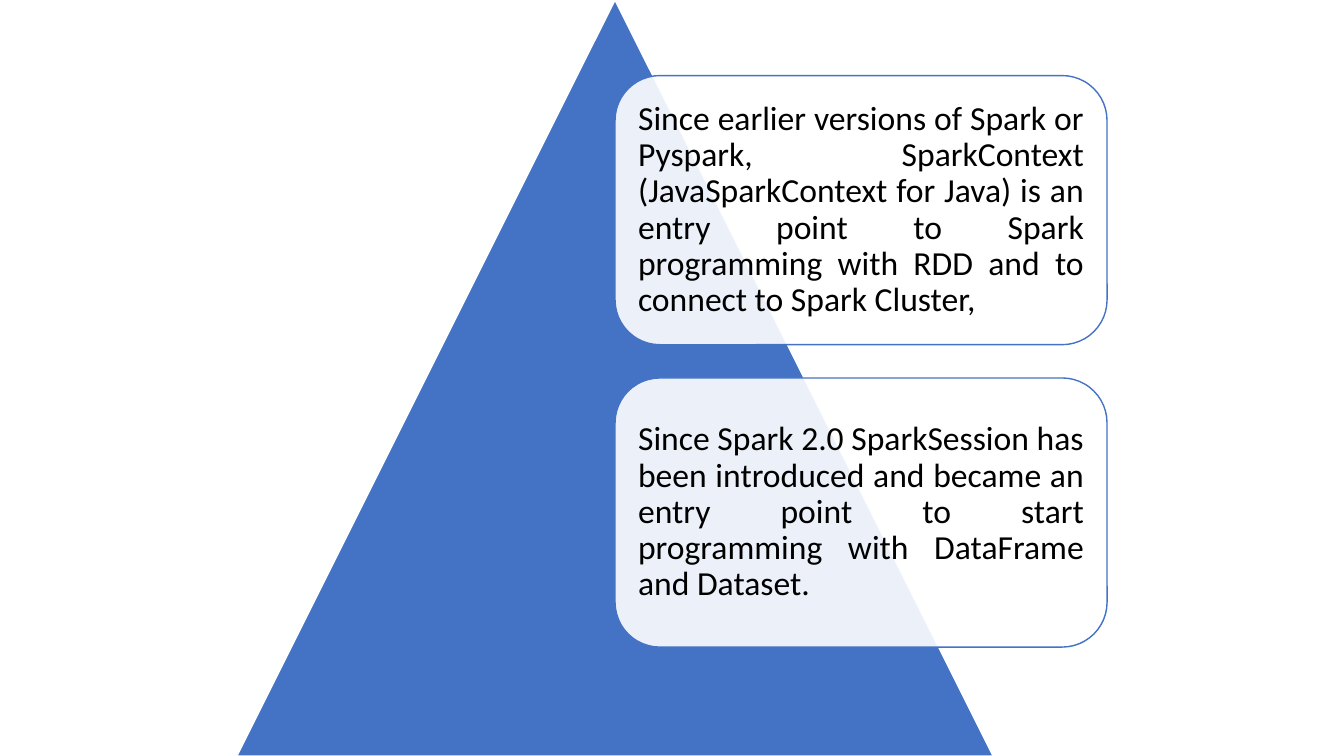
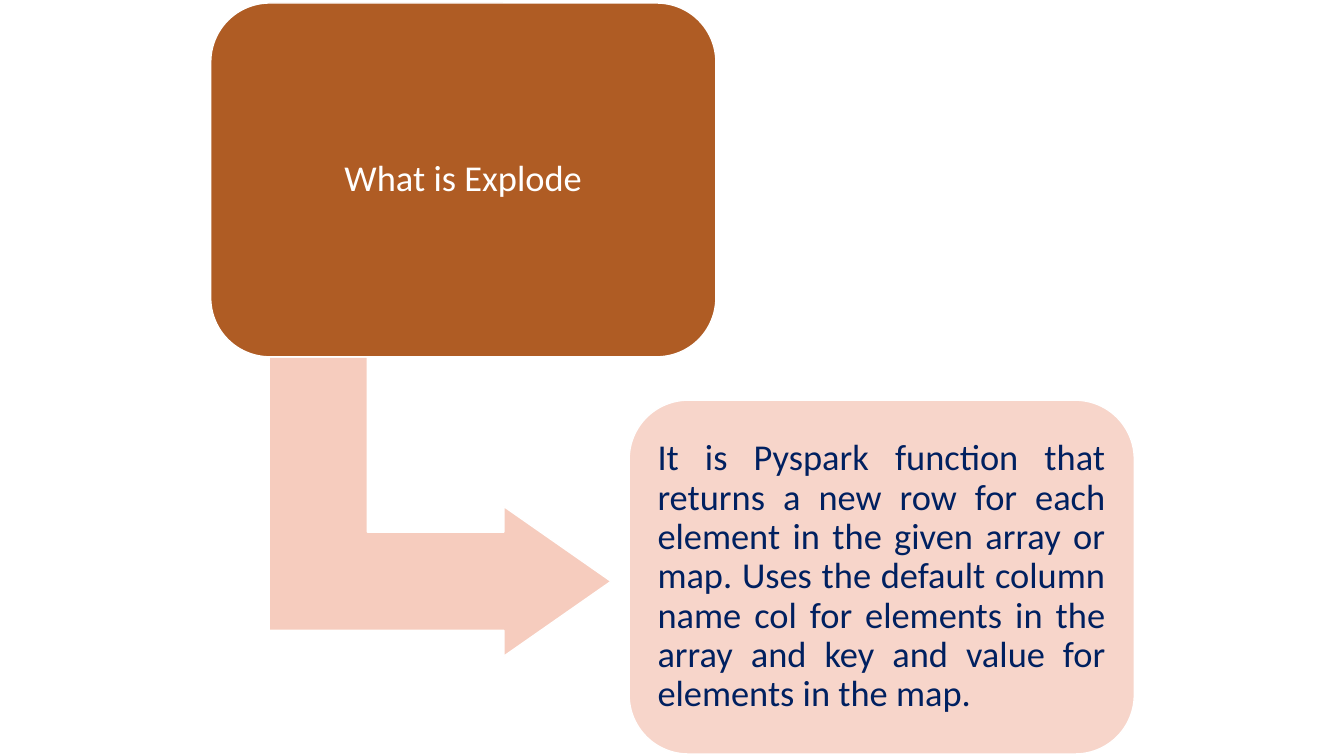
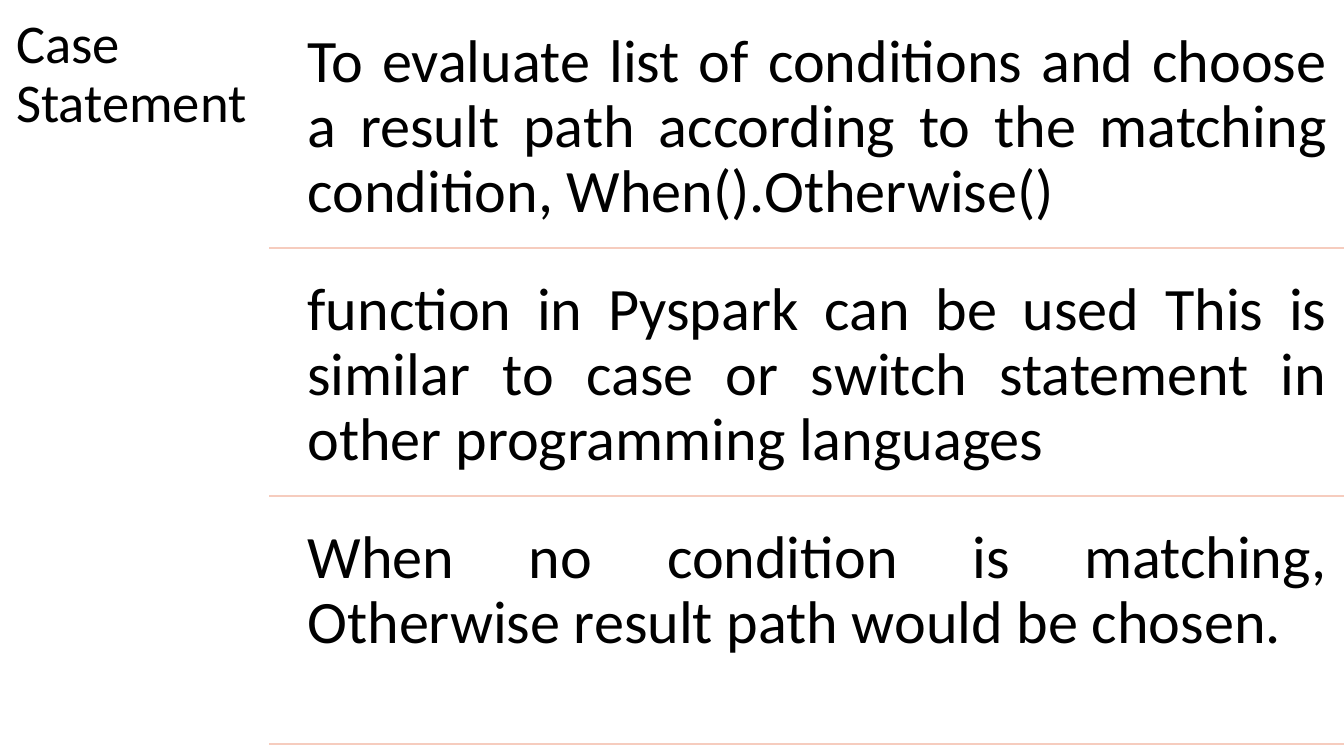
from lxml.etree import SubElement
from pptx import Presentation
from pptx.dml.color import RGBColor
from pptx.enum.shapes import MSO_CONNECTOR, MSO_SHAPE
from pptx.enum.text import MSO_ANCHOR, PP_ALIGN
from pptx.oxml.ns import qn
from pptx.util import Inches, Pt

BLACK, WHITE, NAVY = "000000", "FFFFFF", "002060"
BLUE, RUST, PINK, PALE_PINK = "4472C4", "AF5C24", "F6CCBE", "F7D5CA"


def color(hex_string):
    return RGBColor.from_string(hex_string)


class Deck:
    font = "Calibri"
    line_spacing = 0.9
    line_width = Pt(1)

    def __init__(self, width, height):
        self.prs = Presentation()
        self.prs.slide_width = Inches(width)
        self.prs.slide_height = Inches(height)
        self.slide = None

    def new_slide(self):
        self.slide = self.prs.slides.add_slide(self.prs.slide_layouts[6])

    def shape(self, kind, box, fill, line=WHITE, opacity=None,
              adjustments=(), rotation=0):
        shape = self.slide.shapes.add_shape(kind, *map(Inches, box))
        shape.shadow.inherit = False
        shape.rotation = rotation
        for index, value in enumerate(adjustments):
            shape.adjustments[index] = value
        shape.fill.solid()
        shape.fill.fore_color.rgb = color(fill)
        if opacity is not None:
            tint = shape._element.spPr.find(qn("a:solidFill"))[0]
            SubElement(tint, qn("a:alpha"), val=str(opacity * 1000))
        shape.line.color.rgb = color(line)
        shape.line.width = self.line_width
        return shape

    def set_text(self, shape, text, size, ink, inset,
                 align=PP_ALIGN.JUSTIFY, anchor=MSO_ANCHOR.MIDDLE):
        frame = shape.text_frame
        frame.word_wrap = True
        frame.vertical_anchor = anchor
        frame.margin_left = frame.margin_right = Inches(inset)
        frame.margin_top = frame.margin_bottom = Inches(inset)
        paragraph = frame.paragraphs[0]
        paragraph.alignment = align
        paragraph.line_spacing = self.line_spacing
        run = paragraph.add_run()
        run.text = text
        run.font.name = self.font
        run.font.size = Pt(size)
        run.font.color.rgb = color(ink)

    def card(self, box, text, size, ink, inset, fill, line=WHITE,
             opacity=None, align=PP_ALIGN.JUSTIFY):
        card = self.shape(MSO_SHAPE.ROUNDED_RECTANGLE, box, fill, line, opacity)
        self.set_text(card, text, size, ink, inset, align)

    def text(self, box, text, size, inset):
        area = self.slide.shapes.add_textbox(*map(Inches, box))
        self.set_text(area, text, size, BLACK, inset, anchor=MSO_ANCHOR.TOP)

    def rule(self, left, right, y, ink):
        rule = self.slide.shapes.add_connector(
            MSO_CONNECTOR.STRAIGHT, *map(Inches, (left, y, right, y)))
        rule.line.color.rgb = color(ink)
        rule.line.width = self.line_width
        SubElement(rule._element.spPr, qn("a:effectLst"))


def entry_points(deck):
    deck.new_slide()
    deck.shape(MSO_SHAPE.ISOSCELES_TRIANGLE, (2.35, 0, 7.5, 7.5), BLUE)
    versions = [
        "Since earlier versions of Spark or Pyspark, SparkContext "
        "(JavaSparkContext for Java) is an entry point to Spark programming "
        "with RDD and to connect to Spark Cluster,",
        "Since Spark 2.0 SparkSession has been introduced and became an entry "
        "point to start programming with DataFrame and Dataset.",
    ]
    for row, version in enumerate(versions):
        deck.card((6.1, 0.75 + 3 * row, 4.88, 2.67), version, 24, BLACK, 0.1,
                  WHITE, BLUE, opacity=90)


def explode(deck):
    deck.new_slide()
    # Arrow from the question to the answer
    deck.shape(MSO_SHAPE.BENT_UP_ARROW, (2.88, 3.33, 2.97, 3.39), PINK,
               adjustments=(0.328, 0.25, 0.358), rotation=90)
    deck.card((2.09, 0.03, 5.01, 3.51), "What is Explode", 26, WHITE, 0.11,
              RUST, align=PP_ALIGN.CENTER)
    deck.card((6.24, 3.97, 5.01, 3.51),
              "It is Pyspark function that returns a new row for each element "
              "in the given array or map. Uses the default column name col for "
              "elements in the array and key and value for elements in the map.",
              26, NAVY, 0.11, PALE_PINK)


def case_statement(deck):
    deck.new_slide()
    deck.text((0, 0, 2.67, 7.5), "Case Statement", 39, 0.16)
    # Statements, each closed by a rule
    statements = [
        "To evaluate list of conditions and choose a result path according to "
        "the matching condition, When().Otherwise()",
        "function in Pyspark can be used This is similar to case or switch "
        "statement in other programming languages",
        "When no condition is matching, Otherwise result path would be chosen.",
    ]
    gap, height = 0.12, 2.34
    for row, statement in enumerate(statements):
        top = gap + row * (height + gap)
        deck.text((2.87, top, 10.47, height), statement, 43, 0.18)
        deck.rule(2.67, 13.33, top + height, PINK)


def main():
    deck = Deck(13.33, 7.5)
    entry_points(deck)
    explode(deck)
    case_statement(deck)
    deck.prs.save("out.pptx")


if __name__ == "__main__":
    main()
